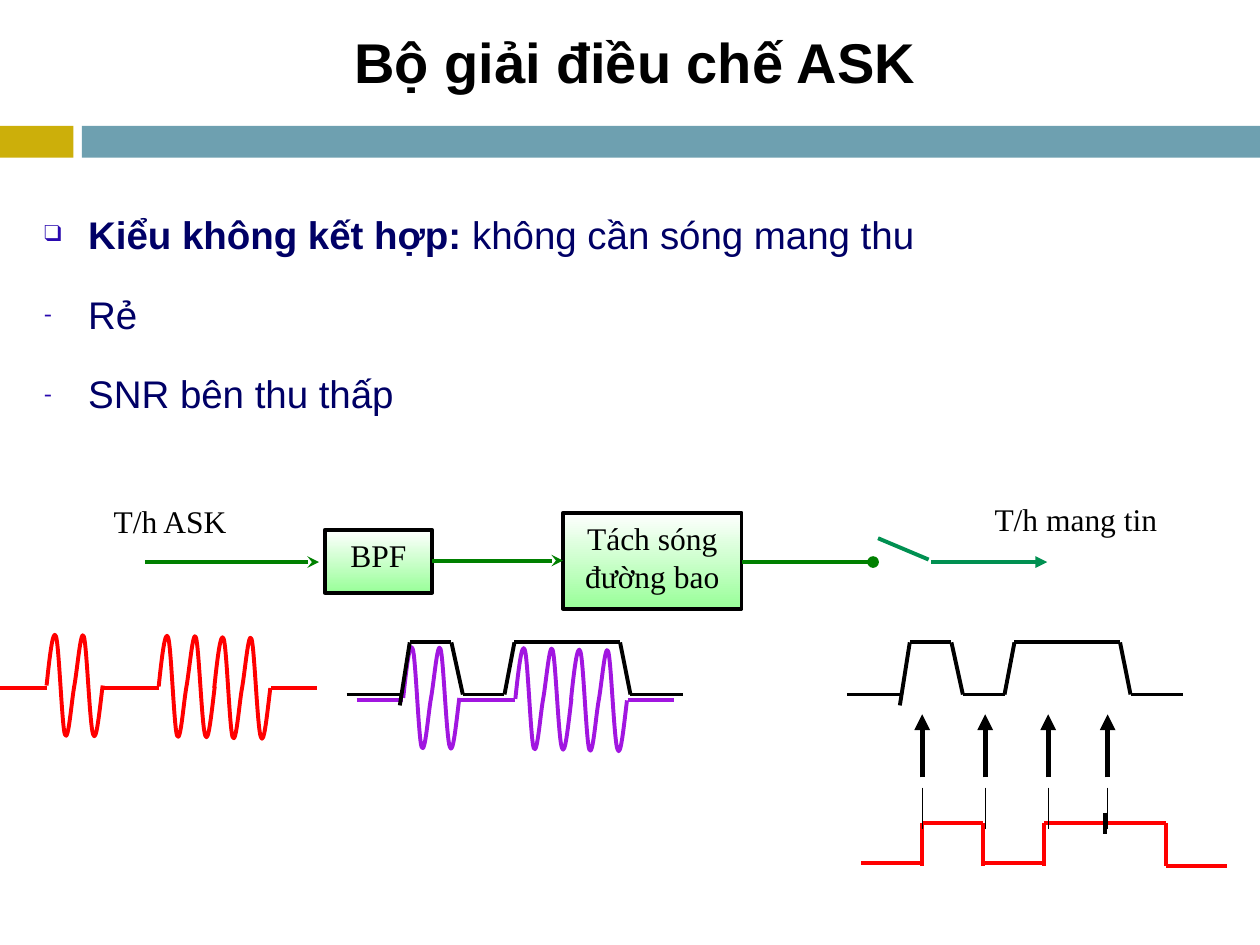
from lxml import etree
from pptx import Presentation
from pptx.dml.color import RGBColor
from pptx.enum.shapes import MSO_CONNECTOR, MSO_SHAPE
from pptx.enum.text import MSO_ANCHOR, PP_ALIGN
from pptx.oxml import parse_xml
from pptx.oxml.ns import nsdecls, qn
from pptx.util import Cm, Pt

BLACK = RGBColor(0x00, 0x00, 0x00)
WHITE = RGBColor(0xFF, 0xFF, 0xFF)
GOLD = RGBColor(0xCC, 0xAF, 0x0A)
TEAL = RGBColor(0x6E, 0xA0, 0xB0)
NAVY = RGBColor(0x00, 0x00, 0x66)
BULLET = RGBColor(0x29, 0x09, 0xAF)
GREEN = RGBColor(0x00, 0x80, 0x00)
SEA = RGBColor(0x00, 0x90, 0x51)
MINT = RGBColor(0x99, 0xFF, 0x99)
RED = RGBColor(0xFF, 0x00, 0x00)
PURPLE = RGBColor(0xA1, 0x16, 0xE0)

prs = Presentation()
prs.slide_width, prs.slide_height = Cm(25.4), Cm(19.05)
s = prs.slides.add_slide(prs.slide_layouts[6])


def line(x1, y1, x2, y2, color, width=2.25, head=None):
    """Draw a straight line in centimetres, with an optional end marker."""
    c = s.shapes.add_connector(MSO_CONNECTOR.STRAIGHT, Cm(x1), Cm(y1), Cm(x2), Cm(y2))
    c.line.color.rgb = color
    c.line.width = Pt(width)
    if head:
        etree.SubElement(c.line._get_or_add_ln(), qn("a:tailEnd"), type=head)
    etree.SubElement(c._element.spPr, qn("a:effectLst"))


def write(p, text, **font):
    """Add a run to a paragraph and apply the font values."""
    r = p.add_run()
    r.text = text
    r.font.color.rgb = font.pop("color", BLACK)
    for name, value in font.items():
        setattr(r.font, name, value)


# Header bars and title
for x, w, color in [(0, 1.48, GOLD), (1.65, 23.75, TEAL)]:
    bar = s.shapes.add_shape(MSO_SHAPE.RECTANGLE, Cm(x), Cm(2.54), Cm(w), Cm(0.64))
    bar.shadow.inherit = False
    bar.fill.solid()
    bar.fill.fore_color.rgb = color
    bar.line.fill.background()

tf = s.shapes.add_textbox(Cm(0.64), Cm(0.2), Cm(24.33), Cm(2.08)).text_frame
tf.word_wrap = True
tf.vertical_anchor = MSO_ANCHOR.MIDDLE
tf.paragraphs[0].alignment = PP_ALIGN.CENTER
write(tf.paragraphs[0], "Bộ giải điều chế ASK", name="Arial", size=Pt(32), bold=True)

# Bulleted text
tf = s.shapes.add_textbox(Cm(0.64), Cm(3.66), Cm(23.5), Cm(4.39)).text_frame
tf.word_wrap = True
items = [
    ("❑", [("Kiểu không kết hợp: ", True), ("không cần sóng mang thu", False)]),
    ("-", [("Rẻ", False)]),
    ("-", [("SNR bên thu thấp", False)]),
]
for i, (mark, runs) in enumerate(items):
    p = tf.add_paragraph() if i else tf.paragraphs[0]
    p.line_spacing = 1.5
    p.space_before = Pt(6)
    pPr = p._p.get_or_add_pPr()
    pPr.set("marL", str(Cm(0.89)))
    pPr.set("indent", str(-Cm(0.89)))
    for xml in (
        f'<a:buClr {nsdecls("a")}><a:srgbClr val="{BULLET}"/></a:buClr>',
        f'<a:buSzPct {nsdecls("a")} val="60000"/>',
        f'<a:buFont {nsdecls("a")} typeface="Times New Roman"/>',
        f'<a:buChar {nsdecls("a")} char="{mark}"/>',
    ):
        pPr.append(parse_xml(xml))
    for text, bold in runs:
        write(p, text, name="Arial", size=Pt(22), bold=bold, color=NAVY)

# Block diagram: boxes and labels
blocks = [
    ("BPF", 6.55, 10.68, 2.16, 1.27, True),
    ("Tách sóng đường bao", 11.35, 10.34, 3.6, 1.93, True),
    ("T/h ASK", 1.63, 9.99, 3.6, 1.93, False),
    ("T/h mang tin", 19.89, 9.96, 3.6, 1.93, False),
]
for text, x, y, w, h, boxed in blocks:
    place = Cm(x), Cm(y), Cm(w), Cm(h)
    if boxed:
        sp = s.shapes.add_shape(MSO_SHAPE.RECTANGLE, *place)
        sp.shadow.inherit = False
        sp.fill.gradient()
        sp.fill.gradient_angle = 270
        for stop, color, pos in zip(sp.fill.gradient_stops, (WHITE, MINT), (0, 1)):
            stop.color.rgb = color
            stop.position = pos
        sp.line.color.rgb = BLACK
        sp.line.width = Pt(2.25)
    else:
        sp = s.shapes.add_textbox(*place)
    tf = sp.text_frame
    frame = {"word_wrap": True, "vertical_anchor": MSO_ANCHOR.TOP,
             "margin_left": 0, "margin_right": 0,
             "margin_top": Cm(0.13), "margin_bottom": Cm(0.13)}
    for name, value in frame.items():
        setattr(tf, name, value)
    tf.paragraphs[0].alignment = PP_ALIGN.CENTER
    write(tf.paragraphs[0], text, name="Times New Roman", size=Pt(18))

# Block diagram: signal path and sampling switch
for x1, y1, x2, y2, color, head in [
    (2.92, 11.33, 6.43, 11.33, GREEN, "stealth"),
    (8.71, 11.3, 11.35, 11.3, GREEN, "stealth"),
    (14.96, 11.33, 17.6, 11.33, GREEN, "oval"),
    (18.77, 11.33, 21.11, 11.33, SEA, "triangle"),
    (17.7, 10.85, 18.72, 11.28, SEA, None),
]:
    line(x1, y1, x2, y2, color, head=head)

# ASK bursts: two carrier periods each, as Bezier control points
BURST = [
    (0.06, -0.58), (0.13, -1.17), (0.19, -0.99),
    (0.25, -0.84), (0.31, 0.84), (0.37, 0.99),
    (0.44, 1.17), (0.5, 0.33), (0.56, 0),
    (0.62, -0.33), (0.69, -1.17), (0.75, -0.99),
    (0.81, -0.84), (0.87, 0.84), (0.94, 0.99),
    (1.0, 1.17), (1.06, 0.58), (1.13, 0),
]
for dx, dy, color in [(0, 0, RED), (7.19, 0.25, PURPLE)]:
    for x, y in [(0.94, 13.82), (3.2, 13.84), (4.32, 13.87)]:
        x, y = x + dx, y + dy
        fb = s.shapes.build_freeform(Cm(x), Cm(y))
        fb.add_line_segments([(Cm(x + px), Cm(y + py)) for px, py in BURST], close=False)
        wave = fb.convert_to_shape()
        wave.shadow.inherit = False
        wave.fill.background()
        wave.line.color.rgb = color
        wave.line.width = Pt(2.25)
        # Turn every three straight segments into one cubic curve
        segments = list(wave._element.iter(qn("a:lnTo")))
        outline = segments[0].getparent()
        for k in range(0, len(segments), 3):
            curve = etree.SubElement(outline, qn("a:cubicBezTo"))
            for segment in segments[k:k + 3]:
                curve.append(segment[0])
                outline.remove(segment)
    for x1, x2 in [(0, 0.94), (2.06, 3.2), (3.2, 3.2), (5.46, 6.4)]:
        line(x1 + dx, 13.87 + dy, x2 + dx, 13.87 + dy, color)

# Envelopes: over the filtered signal and at the detector output
TOP, BASE = 12.95, 14
ENVELOPE = [(1.07, 14.22), (1.27, TOP), (2.11, TOP), (2.34, BASE), (3.18, BASE),
            (3.38, TOP), (5.51, TOP), (5.72, BASE), (6.78, BASE)]
for x in (6.99, 17.07):
    line(x, BASE, x + 1.07, BASE, BLACK)
    for (x1, y1), (x2, y2) in zip(ENVELOPE, ENVELOPE[1:]):
        line(x + x1, y1, x + x2, y2, BLACK)

# Recovered bits
HIGH, LOW, END = 16.59, 17.4, 17.45
edges = [17.36 + 1.23 * i for i in range(7)]
for x1, x2, y in zip(edges, edges[1:], (LOW, HIGH, LOW, HIGH, HIGH, END)):
    line(x1, y, x2, y, RED)
for i in (1, 2, 3, 5):
    line(edges[i], HIGH, edges[i], END, RED)
line(edges[4], 16.38, edges[4], 16.81, BLACK)

# Sampling instants
for x in (18.59, 19.86, 21.13, 22.33):
    line(x, 15.67, x, 14.4, BLACK, 3, "triangle")
    line(x, 15.88, x, 16.71, BLACK, 0.75)

prs.save("out.pptx")
